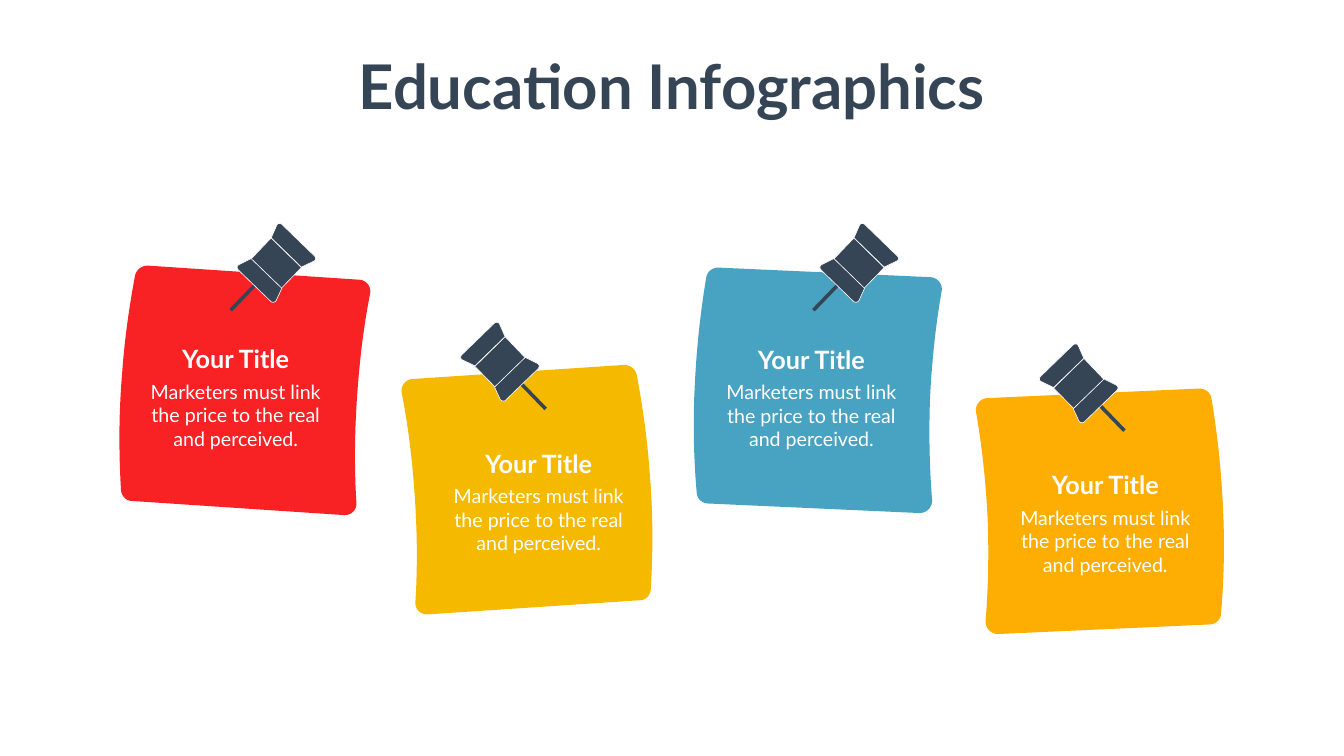
from pptx import Presentation
from pptx import util as u
from pptx.dml import color
from pptx.enum import text

PX = 9144
NAVY, WHITE = "364556", "FFFFFF"
TITLE = "Your Title"
BODY = "Marketers must link the price to the real and perceived."

STEEP_NOTE = [
    (447, 495), (27, 467), (15, 467, 6, 457, 5, 445), (1, 378, 0, 301, 7, 217),
    (12, 144, 22, 78, 33, 19), (36, 8, 46, 0, 58, 0), (478, 28),
    (492, 29, 502, 42, 499, 56), (487, 117, 478, 187, 473, 264),
    (468, 340, 468, 409, 472, 471), (473, 485, 461, 496, 447, 495),
]
FLAT_NOTE = [
    (450, 487), (29, 468), (18, 467, 8, 458, 8, 446), (2, 379, 0, 302, 5, 218),
    (9, 145, 17, 79, 27, 19), (29, 8, 39, 0, 51, 0), (472, 19),
    (486, 20, 496, 33, 494, 46), (483, 108, 475, 178, 471, 255),
    (468, 331, 470, 400, 475, 462), (475, 476, 464, 487, 450, 487),
]
NEEDLE = [(5, 176), (0, 171), (90, 78), (95, 83)]
BARREL = [(103, 130), (43, 72), (83, 30), (143, 89)]
HEAD = [
    (169, 66), (105, 4), (101, 0, 96, 1, 94, 5), (83, 30), (143, 88),
    (168, 76), (172, 74, 172, 69, 169, 66),
]
COLLAR = [
    (82, 156), (18, 94), (14, 90, 15, 85, 19, 83), (43, 71), (104, 130),
    (93, 154), (91, 158, 85, 159, 82, 156),
]

NOTES = [
    (STEEP_NOTE, 235, 527, 1, "F82225", 455, 442, 278, 677),
    (STEEP_NOTE, 1296, 724, -1, "F5BA00", 1085, 638, 879, 885),
    (FLAT_NOTE, 1374, 531, 1, "48A3C2", 1611, 442, 1420, 678),
    (FLAT_NOTE, 2430, 771, -1, "FEAD02", 2233, 681, 2003, 927),
]


def rgb(value):
    return color.RGBColor.from_string(value)


def draw_outline(page, steps, x, y, direction, fill):
    points = [steps[0]]
    for step in steps[1:]:
        if len(step) == 2:
            points.append(step)
            continue
        knots = [points[-1], step[:2], step[2:4], step[4:]]
        for i in range(1, 13):
            t = i / 12
            weights = [(1 - t) ** 3, 3 * t * (1 - t) ** 2, 3 * t * t * (1 - t), t ** 3]
            points.append(tuple(sum(w * k[axis] for w, k in zip(weights, knots)) for axis in (0, 1)))
    places = [((x + direction * px) * PX, (y + py) * PX) for px, py in points]
    builder = page.shapes.build_freeform(*places[0])
    builder.add_line_segments(places[1:], close=True)
    shape = builder.convert_to_shape()
    shape.shadow.inherit = False
    shape.fill.solid()
    shape.fill.fore_color.rgb = rgb(fill)
    shape.line.fill.background()
    return shape


deck = Presentation()
deck.slide_width = 2666 * PX
deck.slide_height = 1500 * PX
page = deck.slides.add_slide(deck.slide_layouts[5])

heading = page.shapes.title
heading.left, heading.top, heading.width, heading.height = 688 * PX, 91 * PX, 1289 * PX, 158 * PX
frame = heading.text_frame
frame.text = "Education Infographics"
frame.word_wrap = False
frame.auto_size = text.MSO_AUTO_SIZE.SHAPE_TO_FIT_TEXT
frame.vertical_anchor = text.MSO_ANCHOR.TOP
para = frame.paragraphs[0]
para.alignment = text.PP_ALIGN.CENTER
span = para.runs[0]
span.font.name = "Lato"
span.font.size = u.Pt(88)
span.font.bold = True
span.font.color.rgb = rgb(NAVY)

for outline, x, y, direction, fill, *rest in NOTES:
    draw_outline(page, outline, x, y, direction, fill)

for outline, x, y, direction, fill, pin_x, pin_y, *rest in NOTES:
    draw_outline(page, NEEDLE, pin_x, pin_y, direction, NAVY)
    for part in (BARREL, HEAD, COLLAR):
        shape = draw_outline(page, part, pin_x, pin_y, direction, NAVY)
        shape.line.color.rgb = rgb(WHITE)
        shape.line.width = u.Pt(0.88)

for *rest, left, top in NOTES:
    group = page.shapes.add_group_shape()
    for words, offset, height, size, bold in ((BODY, 71, 151, 28, False), (TITLE, 0, 71, 36, True)):
        box = group.shapes.add_textbox(left * PX, (top + offset) * PX, 379 * PX, height * PX)
        frame = box.text_frame
        frame.text = words
        frame.word_wrap = True
        frame.auto_size = text.MSO_AUTO_SIZE.SHAPE_TO_FIT_TEXT
        para = frame.paragraphs[0]
        para.alignment = text.PP_ALIGN.CENTER
        span = para.runs[0]
        span.font.name = "Lato"
        span.font.size = u.Pt(size)
        span.font.bold = bold
        span.font.color.rgb = rgb(WHITE)

deck.save("out.pptx")
